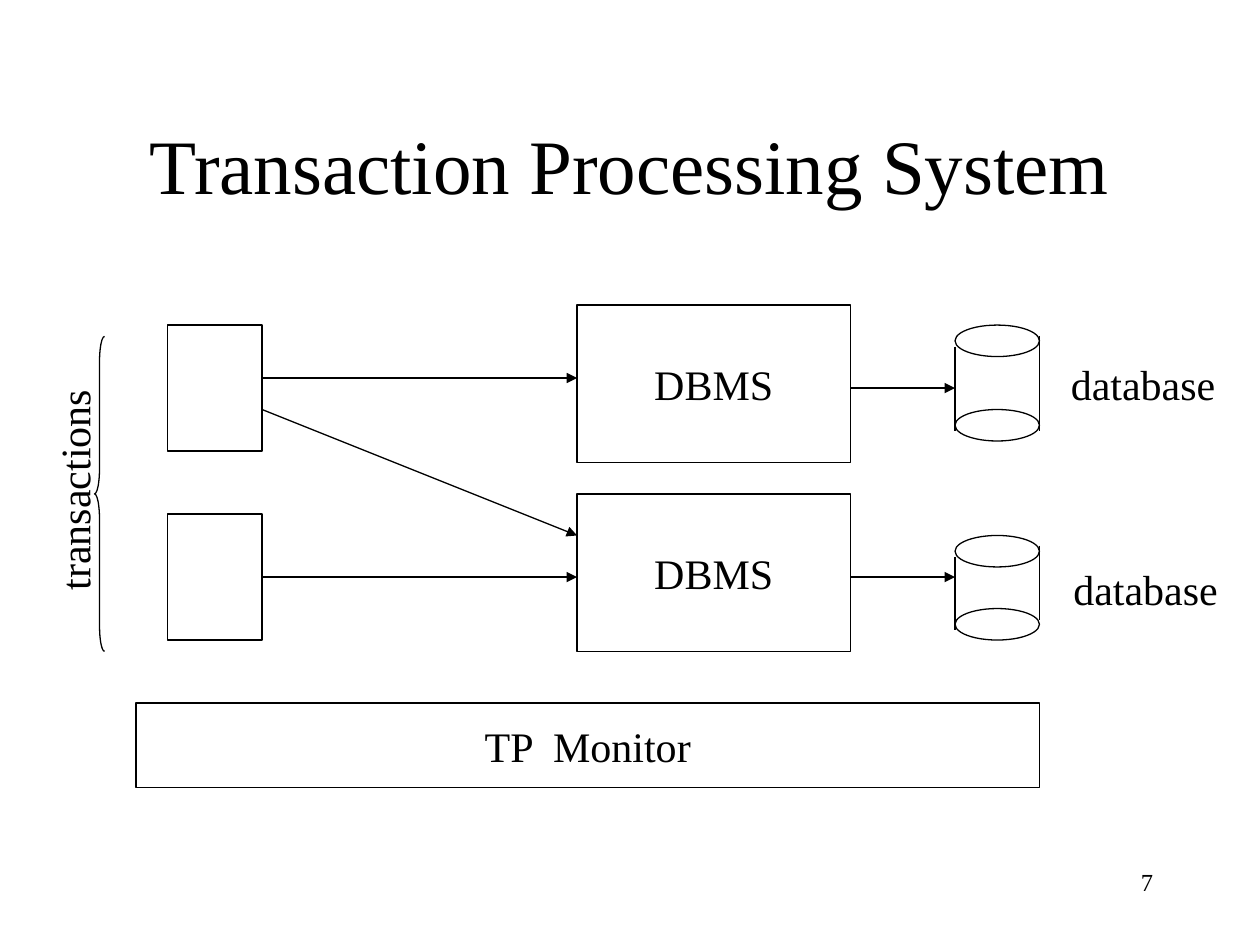
from lxml.etree import SubElement
from pptx import Presentation
from pptx.dml.color import RGBColor
from pptx.enum.shapes import MSO_CONNECTOR, MSO_SHAPE
from pptx.enum.text import MSO_ANCHOR, PP_ALIGN
from pptx.oxml.ns import qn
from pptx.util import Inches, Pt

FONT = "Times New Roman"
BLACK = "000000"
WHITE = "FFFFFF"
LINE_WIDTH = 0.75


def color(hex_string):
    return RGBColor.from_string(hex_string)


def write_text(shape, text, size=24, align=PP_ALIGN.LEFT, anchor=MSO_ANCHOR.TOP, wrap=False):
    frame = shape.text_frame
    frame.word_wrap = wrap
    frame.vertical_anchor = anchor
    paragraph = frame.paragraphs[0]
    paragraph.alignment = align
    run = paragraph.add_run()
    run.text = text
    run.font.name = FONT
    run.font.size = Pt(size)
    run.font.color.rgb = color(BLACK)


def add_text(slide, text, left, top, width, height, rotation=0, **text_format):
    box = slide.shapes.add_textbox(Inches(left), Inches(top), Inches(width), Inches(height))
    box.rotation = rotation
    write_text(box, text, **text_format)


def add_outline(slide, kind, left, top, width, height, fill=WHITE, text=None):
    shape = slide.shapes.add_shape(kind, Inches(left), Inches(top), Inches(width), Inches(height))
    shape.shadow.inherit = False
    if fill:
        shape.fill.solid()
        shape.fill.fore_color.rgb = color(fill)
    else:
        shape.fill.background()
    shape.line.color.rgb = color(BLACK)
    shape.line.width = Pt(LINE_WIDTH)
    if text:
        write_text(shape, text, align=PP_ALIGN.CENTER, anchor=MSO_ANCHOR.MIDDLE)
    return shape


def add_line(slide, start, end, arrow=False):
    points = [Inches(value) for value in (*start, *end)]
    connector = slide.shapes.add_connector(MSO_CONNECTOR.STRAIGHT, *points)
    connector.line.color.rgb = color(BLACK)
    connector.line.width = Pt(LINE_WIDTH)
    if arrow:
        SubElement(connector.line._get_or_add_ln(), qn("a:tailEnd"), type="triangle")
    SubElement(connector._element.spPr, qn("a:effectLst"))


def add_database(slide, top, lower_top, left_side, right_side):
    left, width = 7.58, 0.67
    for ellipse_top in (top, lower_top):
        add_outline(slide, MSO_SHAPE.OVAL, left, ellipse_top, width, 0.25)
    for x, (side_top, side_bottom) in ((left, left_side), (left + width, right_side)):
        add_line(slide, (x, side_top), (x, side_bottom))


def add_transactions(slide):
    brace = add_outline(slide, MSO_SHAPE.LEFT_BRACE, 0.75, 2.67, 0.08, 2.5, fill=None)
    brace.adjustments[0] = 2.5
    brace.adjustments[1] = 0.5
    add_text(slide, "transactions", -0.31, 3.64, 1.79, 0.5, rotation=270)


def main():
    presentation = Presentation()
    presentation.slide_width = Inches(10)
    presentation.slide_height = Inches(7.5)
    slide = presentation.slides.add_slide(presentation.slide_layouts[6])

    add_text(slide, "Transaction Processing System", 0.75, 0.67, 8.5, 1.25, size=44,
             align=PP_ALIGN.CENTER, anchor=MSO_ANCHOR.MIDDLE, wrap=True)
    add_text(slide, "7", 7.17, 6.83, 2.08, 0.5, size=14, align=PP_ALIGN.RIGHT, wrap=True)

    add_transactions(slide)
    for row_top in (2.42, 3.92):
        add_outline(slide, MSO_SHAPE.RECTANGLE, 1.33, row_top + 0.16, 0.75, 1)
        add_outline(slide, MSO_SHAPE.RECTANGLE, 4.58, row_top, 2.17, 1.25, text="DBMS")
    add_outline(slide, MSO_SHAPE.RECTANGLE, 1.08, 5.58, 7.17, 0.67, text="TP  Monitor")

    add_database(slide, 2.58, 3.25, (2.75, 3.42), (2.67, 3.42))
    add_database(slide, 4.25, 4.83, (4.42, 5), (4.33, 4.92))
    for left, top in ((8.4, 2.8), (8.42, 4.42)):
        add_text(slide, "database", left, top, 1.35, 0.5)

    arrows = [
        ((2.08, 3), (4.58, 3)),
        ((2.08, 3.25), (4.58, 4.25)),
        ((2.08, 4.58), (4.58, 4.58)),
        ((6.75, 3.08), (7.58, 3.08)),
        ((6.75, 4.58), (7.58, 4.58)),
    ]
    for start, end in arrows:
        add_line(slide, start, end, arrow=True)

    presentation.save("out.pptx")


main()
